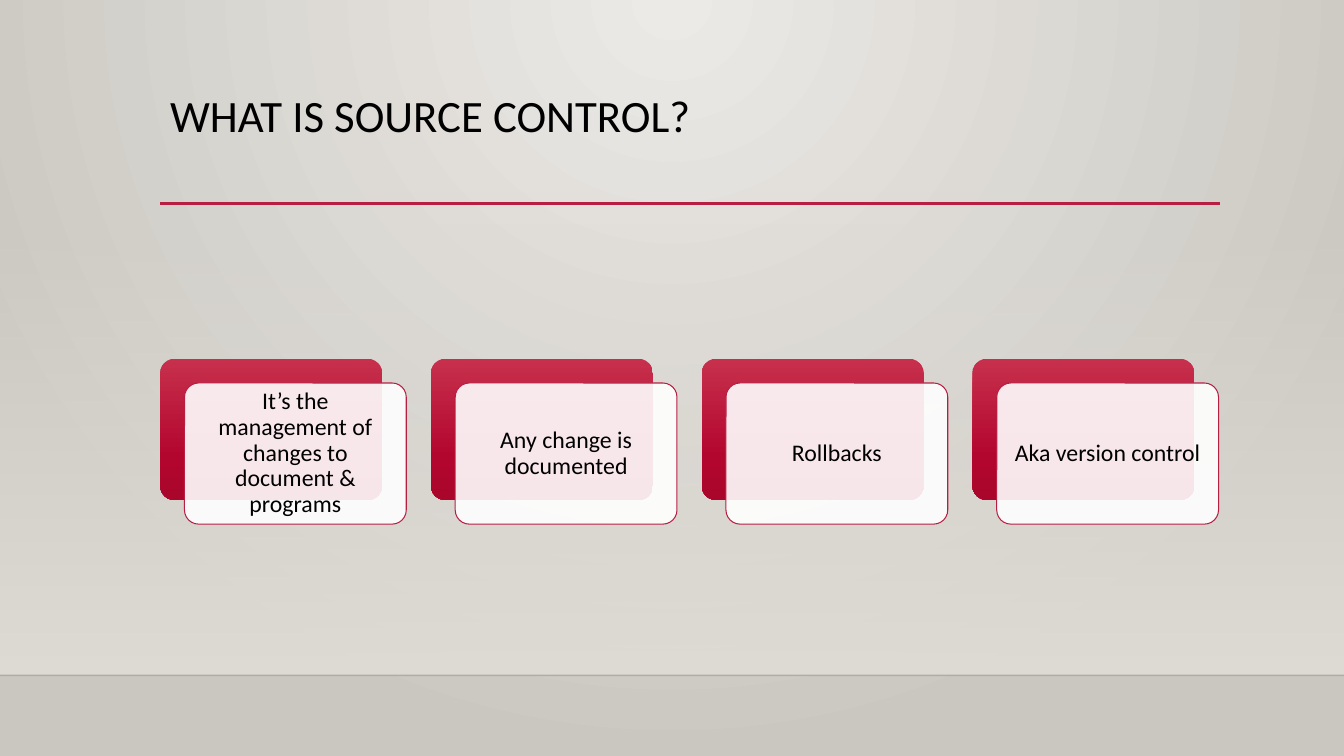
"""Build a slide that explains source control with four layered cards."""
from dataclasses import dataclass

from lxml import etree
from pptx import Presentation
from pptx.dml.color import RGBColor
from pptx.enum.shapes import MSO_CONNECTOR, MSO_SHAPE
from pptx.enum.text import MSO_ANCHOR, PP_ALIGN
from pptx.oxml.ns import qn
from pptx.util import Pt

RECT, ROUND = MSO_SHAPE.RECTANGLE, MSO_SHAPE.ROUNDED_RECTANGLE
STRAIGHT = MSO_CONNECTOR.STRAIGHT
LEFT, CENTER = PP_ALIGN.LEFT, PP_ALIGN.CENTER
TOP, MIDDLE = MSO_ANCHOR.TOP, MSO_ANCHOR.MIDDLE
FONT, BLACK, RED = "Calibri", "000000", "B71E42"
WIDE, HIGH = 960, 540
EDGE, CARD_Y, STEP = 114.5, 256.3, 193.4
CARD_W, CARD_H, SHIFT = 158.4, 100.8, 17.3
LABELS = (
    "It’s the management of changes to document & programs",
    "Any change is documented",
    "Rollbacks",
    "Aka version control",
)


@dataclass
class Stop:
    pos: int
    color: str
    alpha: int = 100


@dataclass
class Rule:
    left: float
    right: float
    y: float
    color: str
    width: float
    alpha: int = 100


@dataclass
class Card:
    left: float
    top: float
    label: str


SKY = (Stop(0, "ECEAE7"), Stop(100, "CAC7C1"))
HAZE = (Stop(0, "DFDBD5", 0), Stop(100, "DFDBD5"))
CRIMSON = (Stop(0, "C7304C"), Stop(69, "B3062F"), Stop(100, "AA062C"))
RULES = (
    Rule(0, WIDE, 482.4, "000001", 1, 20),
    Rule(EDGE, 871.2, 145.4, RED, 2.5),
)
CARDS = [Card(EDGE + i * STEP, CARD_Y, label) for i, label in enumerate(LABELS)]


def rgb(code: str) -> RGBColor:
    return RGBColor.from_string(code)


def fade(node, alpha: int) -> None:
    color = node.find(".//" + qn("a:srgbClr"))
    etree.SubElement(color, qn("a:alpha"), val=str(alpha * 1000))


def blend(node, stops: tuple[Stop, ...], radial: bool = False) -> None:
    solid = node.find(".//" + qn("a:solidFill"))
    grad = etree.Element(qn("a:gradFill"), rotWithShape="1")
    items = etree.SubElement(grad, qn("a:gsLst"))
    for stop in stops:
        item = etree.SubElement(items, qn("a:gs"), pos=str(stop.pos * 1000))
        etree.SubElement(item, qn("a:srgbClr"), val=stop.color)
        fade(item, stop.alpha)
    if radial:
        way = etree.SubElement(grad, qn("a:path"), path="circle")
        etree.SubElement(way, qn("a:fillToRect"), l="43000", t="0", r="43000", b="100000")
    else:
        etree.SubElement(grad, qn("a:lin"), ang="5400000", scaled="0")
    solid.getparent().replace(solid, grad)


def add_box(slide, kind, left: float, top: float, width: float, height: float):
    box = slide.shapes.add_shape(kind, Pt(left), Pt(top), Pt(width), Pt(height))
    box.shadow.inherit = False
    box.fill.solid()
    box.fill.fore_color.rgb = rgb("FFFFFF")
    box.line.fill.background()
    if kind == ROUND:
        box.adjustments[0] = 0.1
    return box


def add_rule(slide, rule: Rule) -> None:
    line = slide.shapes.add_connector(
        STRAIGHT, Pt(rule.left), Pt(rule.y), Pt(rule.right), Pt(rule.y))
    line.line.color.rgb = rgb(rule.color)
    line.line.width = Pt(rule.width)
    props = line.element.spPr
    fade(props, rule.alpha)
    etree.SubElement(props, qn("a:effectLst"))


def write(shape, text: str, size: float, align, anchor, pad_x: float, pad_y: float) -> None:
    frame = shape.text_frame
    frame.word_wrap = True
    frame.vertical_anchor = anchor
    frame.margin_left = frame.margin_right = Pt(pad_x)
    frame.margin_top = frame.margin_bottom = Pt(pad_y)
    para = frame.paragraphs[0]
    para.text = text
    para.alignment = align
    para.line_spacing = 0.9
    para.font.name = FONT
    para.font.size = Pt(size)
    para.font.color.rgb = rgb(BLACK)


def add_card(slide, card: Card) -> None:
    back = add_box(slide, ROUND, card.left, card.top, CARD_W, CARD_H)
    blend(back.element.spPr, CRIMSON)
    front = add_box(slide, ROUND, card.left + SHIFT, card.top + SHIFT, CARD_W, CARD_H)
    fade(front.element.spPr, 90)
    front.line.color.rgb = rgb(RED)
    front.line.width = Pt(0.75)
    write(front, card.label, 17, CENTER, MIDDLE, 5, 5)


def main() -> None:
    deck = Presentation()
    deck.slide_width, deck.slide_height = Pt(WIDE), Pt(HIGH)
    slide = deck.slides.add_slide(deck.slide_layouts[6])
    slide.background.fill.solid()
    slide.background.fill.fore_color.rgb = rgb("CAC7C1")
    blend(slide.element, SKY, radial=True)
    haze = add_box(slide, RECT, 0, 159.1, WIDE, 323.3)
    blend(haze.element.spPr, HAZE)
    for rule in RULES:
        add_rule(slide, rule)
    title = slide.shapes.add_textbox(Pt(EDGE), Pt(63.4), Pt(756), Pt(82.8))
    write(title, "WHAT IS SOURCE CONTROL?", 32, LEFT, TOP, 7.2, 3.6)
    for card in CARDS:
        add_card(slide, card)
    deck.save("out.pptx")


if __name__ == "__main__":
    main()
